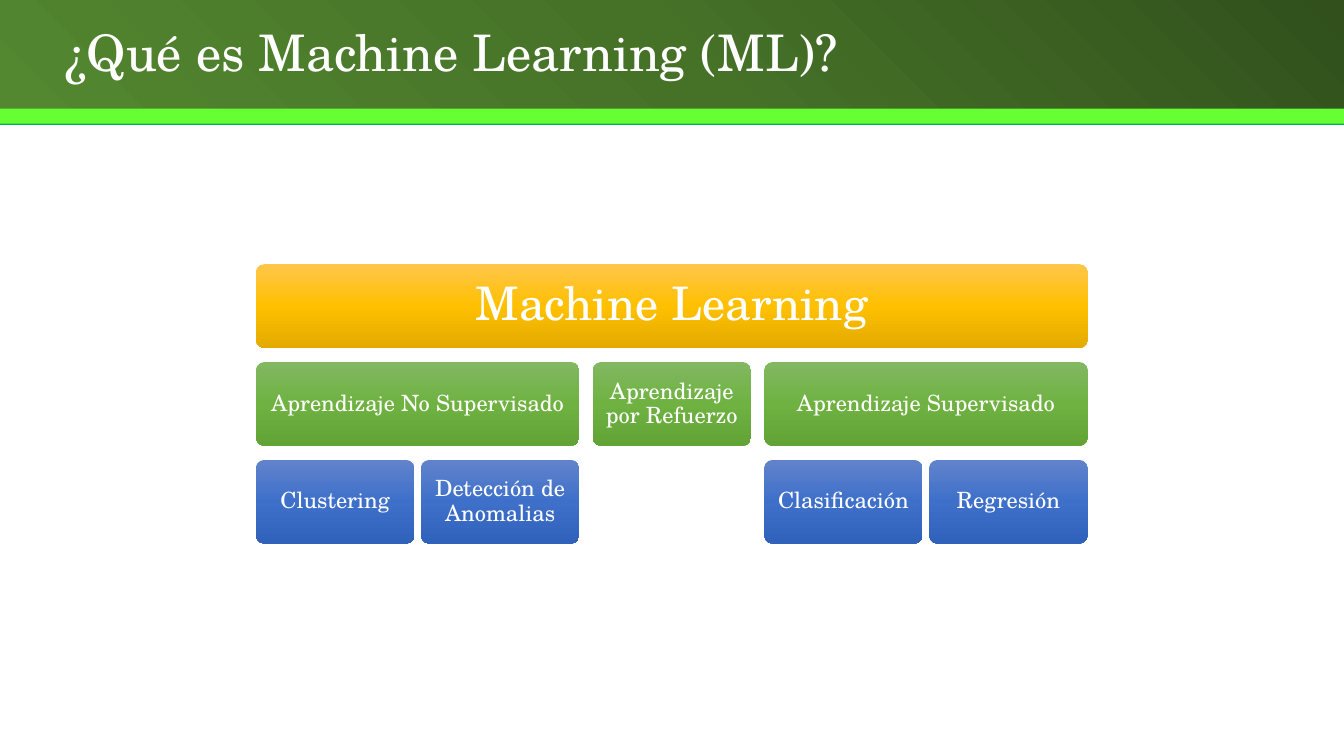
from copy import deepcopy

from pptx import Presentation
from pptx.dml.color import RGBColor
from pptx.enum import shapes, text
from pptx.oxml.ns import qn
from pptx.util import Pt

FONT = "TeX Gyre Schola"
WHITE = RGBColor(0xFF, 0xFF, 0xFF)
LIME = RGBColor(0x66, 0xFF, 0x33)
EMERALD = RGBColor(0x00, 0xB0, 0x50)
# Start, middle and end of each gradient
FOREST = (RGBColor(0x31, 0x50, 0x1C), RGBColor(0x46, 0x72, 0x28), RGBColor(0x53, 0x87, 0x30))
GOLD = (RGBColor(0xFF, 0xC6, 0x4B), RGBColor(0xFF, 0xC0, 0x00), RGBColor(0xE3, 0xAB, 0x00))
GREEN = (RGBColor(0x81, 0xB8, 0x61), RGBColor(0x6F, 0xB2, 0x42), RGBColor(0x62, 0xA3, 0x36))
BLUE = (RGBColor(0x61, 0x83, 0xCB), RGBColor(0x3E, 0x70, 0xCA), RGBColor(0x30, 0x62, 0xBB))

PAGE_WIDTH, PAGE_HEIGHT = 960, 540
CHART_LEFT, CHART_TOP, CHART_WIDTH = 182.9, 188.7, 594
BOX_HEIGHT, ROW_STEP = 59.8, 69.9
SIBLING_GAP, BRANCH_GAP = 4.75, 9.5
LEAF_WIDTH = (CHART_WIDTH - 2 * SIBLING_GAP - 2 * BRANCH_GAP) / 5

BRANCHES = [
    ("Aprendizaje No Supervisado", ["Clustering", "Detección de Anomalias"]),
    ("Aprendizaje por Refuerzo", []),
    ("Aprendizaje Supervisado", ["Clasificación", "Regresión"]),
]


def add_block(page, kind, left, top, width, height):
    box = page.shapes.add_shape(kind, Pt(left), Pt(top), Pt(width), Pt(height))
    box.shadow.inherit = False
    box.line.fill.background()
    return box


def fill_gradient(box, colours, angle):
    """Fill with three even stops; the angle runs counter-clockwise."""
    box.fill.gradient()
    box.fill.gradient_angle = angle
    stop_list = box._element.spPr.find(".//" + qn("a:gsLst"))
    stop_list.insert(1, deepcopy(stop_list[0]))
    for index, (stop, colour) in enumerate(zip(box.fill.gradient_stops, colours)):
        stop.position = index / 2
        stop.color.rgb = colour


def write_text(box, words, size, alignment, inset):
    frame = box.text_frame
    frame.word_wrap = True
    frame.auto_size = text.MSO_AUTO_SIZE.NONE
    frame.vertical_anchor = text.MSO_ANCHOR.MIDDLE
    frame.margin_left = frame.margin_right = Pt(inset)
    frame.margin_top = frame.margin_bottom = Pt(3.6)
    para = frame.paragraphs[0]
    para.alignment = alignment
    para.line_spacing = 0.9
    para.space_before = Pt(0)
    span = para.add_run()
    span.text = words
    span.font.name = FONT
    span.font.size = Pt(size)
    span.font.color.rgb = WHITE


def add_node(page, words, left, row, width, colours, size=16):
    box = add_block(page, shapes.MSO_SHAPE.ROUNDED_RECTANGLE,
                    left, CHART_TOP + row * ROW_STEP, width, BOX_HEIGHT)
    box.adjustments[0] = 0.1
    fill_gradient(box, colours, 270)
    write_text(box, words, size, text.PP_ALIGN.CENTER, 6.8)


def add_header(page, words):
    rectangle = shapes.MSO_SHAPE.RECTANGLE
    banner = add_block(page, rectangle, 0, 0, PAGE_WIDTH, 78.5)
    fill_gradient(banner, FOREST, 225)
    for top, colour in ((78.5, EMERALD), (77.6, LIME)):
        stripe = add_block(page, rectangle, 0, top, PAGE_WIDTH, 10.8)
        stripe.fill.solid()
        stripe.fill.fore_color.rgb = colour

    title = page.shapes.title
    title.left, title.top, title.width, title.height = Pt(38.9), Pt(19.4), Pt(785), Pt(39.6)
    write_text(title, words, 36, text.PP_ALIGN.LEFT, 7.2)
    page.shapes._spTree.append(title._element)  # bring in front of the banner


def add_hierarchy(page):
    add_node(page, "Machine Learning", CHART_LEFT, 0, CHART_WIDTH, GOLD, 33)
    left = CHART_LEFT
    for branch, leaves in BRANCHES:
        columns = max(1, len(leaves))
        width = columns * LEAF_WIDTH + (columns - 1) * SIBLING_GAP
        add_node(page, branch, left, 1, width, GREEN)
        for index, leaf in enumerate(leaves):
            add_node(page, leaf, left + index * (LEAF_WIDTH + SIBLING_GAP), 2, LEAF_WIDTH, BLUE)
        left += width + BRANCH_GAP


def main():
    deck = Presentation()
    deck.slide_width, deck.slide_height = Pt(PAGE_WIDTH), Pt(PAGE_HEIGHT)
    page = deck.slides.add_slide(deck.slide_layouts.get_by_name("Title Only"))
    add_header(page, "¿Qué es Machine Learning (ML)?")
    add_hierarchy(page)
    deck.save("out.pptx")


if __name__ == "__main__":
    main()
